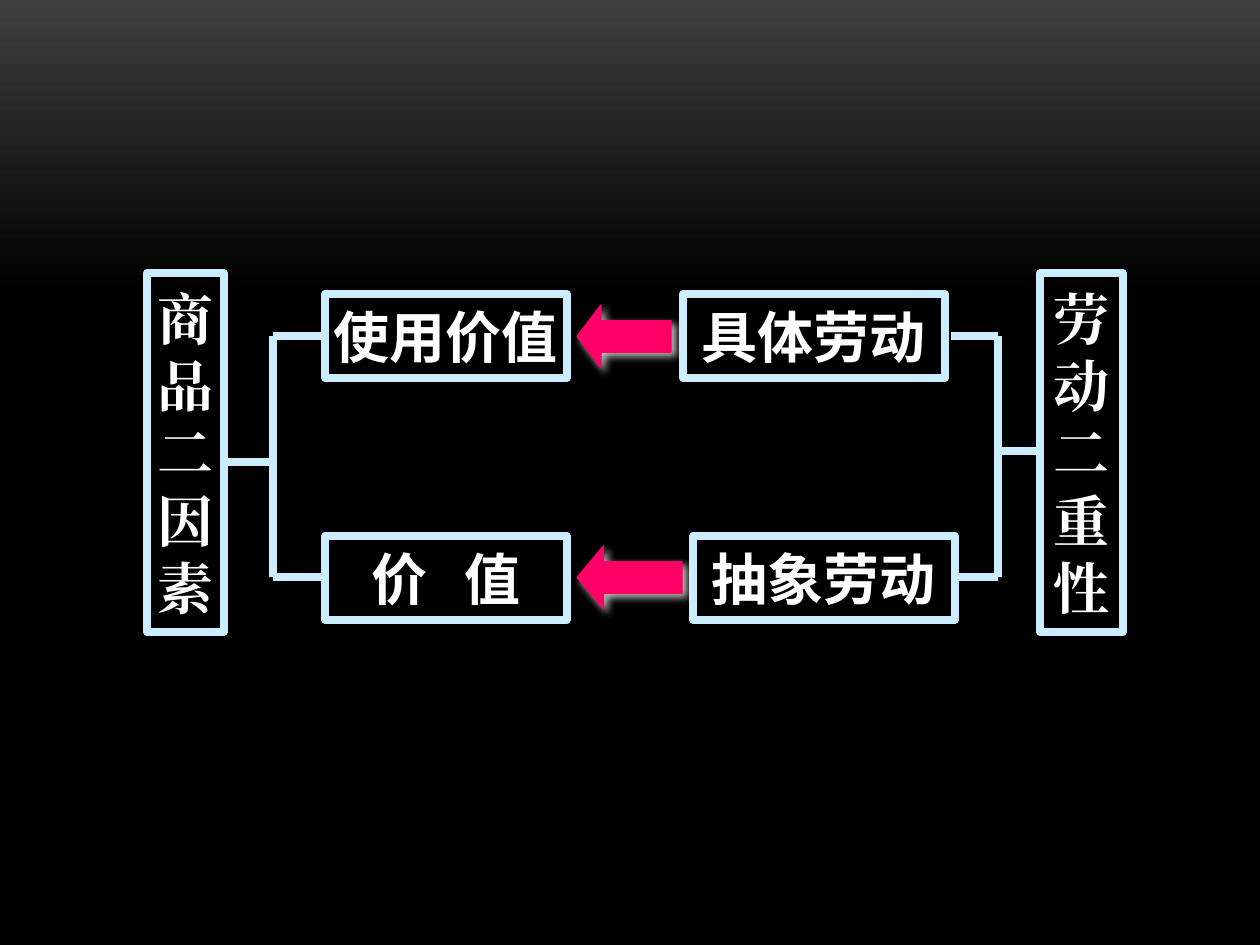
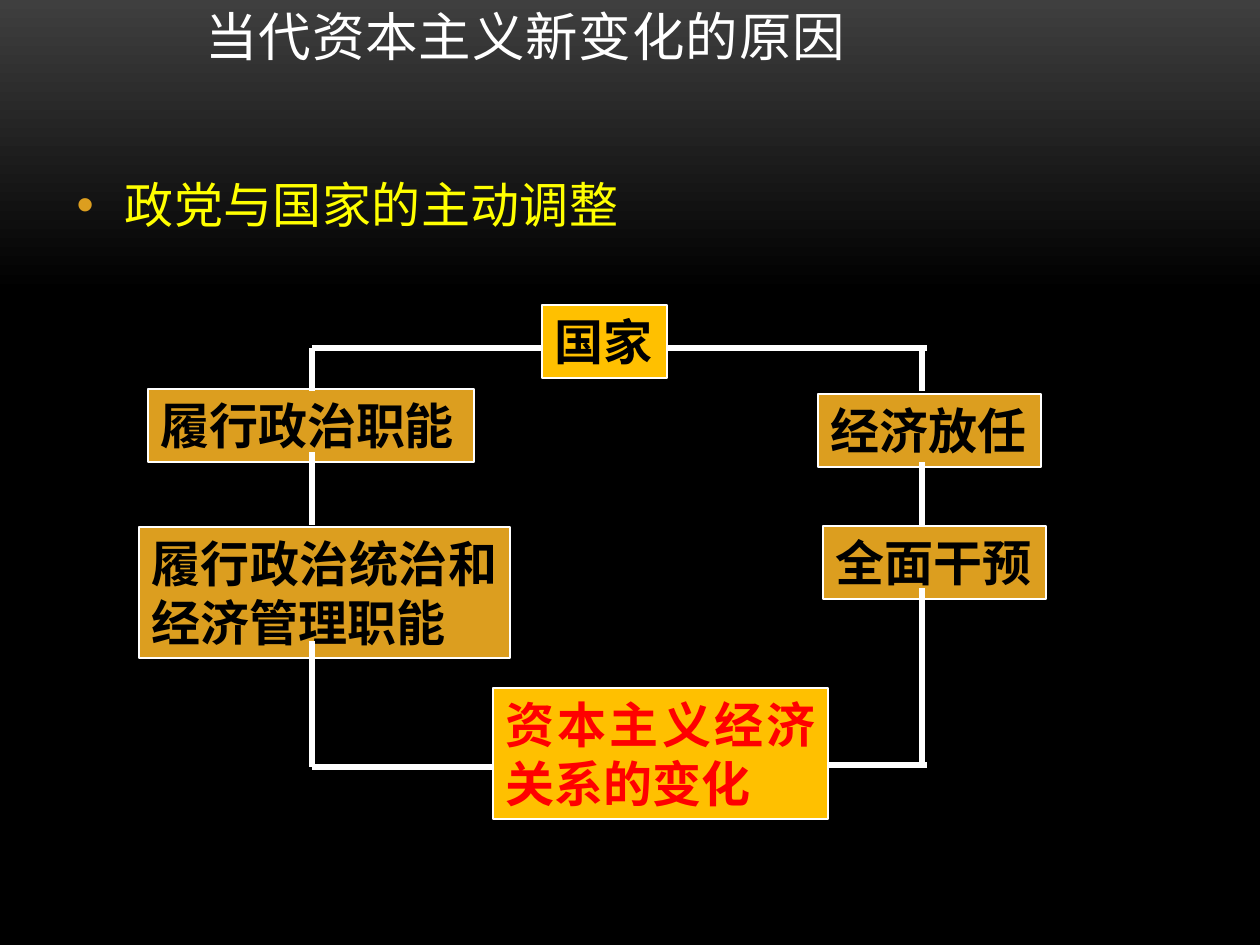
from lxml import etree
from pptx import Presentation
from pptx.dml.color import RGBColor
from pptx.enum.shapes import MSO_CONNECTOR, MSO_SHAPE
from pptx.enum.text import MSO_ANCHOR, MSO_AUTO_SIZE, PP_ALIGN
from pptx.oxml.ns import qn
from pptx.util import Emu, Pt

RECT, ARROW = MSO_SHAPE.RECTANGLE, MSO_SHAPE.LEFT_ARROW
STRAIGHT = MSO_CONNECTOR.STRAIGHT
TOP, MIDDLE, BOTTOM = MSO_ANCHOR.TOP, MSO_ANCHOR.MIDDLE, MSO_ANCHOR.BOTTOM
LEFT, CENTER, JUSTIFY = PP_ALIGN.LEFT, PP_ALIGN.CENTER, PP_ALIGN.JUSTIFY
FIXED = MSO_AUTO_SIZE.NONE

BLACK = RGBColor(0x00, 0x00, 0x00)
WHITE = RGBColor(0xFF, 0xFF, 0xFF)
GRAY = RGBColor(0x3F, 0x3F, 0x3F)
ICE = RGBColor(0xCC, 0xEC, 0xFF)
PINK = RGBColor(0xFF, 0x00, 0x66)
OCHRE = RGBColor(0xDC, 0x9E, 0x1F)
GOLD = RGBColor(0xFF, 0xC0, 0x00)
YELLOW = RGBColor(0xFF, 0xFF, 0x00)
RED = RGBColor(0xFF, 0x00, 0x00)

SANS, SERIF, ARIAL, HEAD = "Noto Sans CJK SC", "Times New Roman", "Arial", "Quicksand"
SCALE = 914400 / 126


def px(num):
    return Emu(round(num * SCALE))


def add(node, tag, **attrs):
    return etree.SubElement(node, qn(tag), attrs)


class Deck:
    def __init__(self):
        self.prs = Presentation()
        self.prs.slide_width, self.prs.slide_height = px(1260), px(945)
        # Shared backdrop: gray fading to black
        fill = self.prs.slide_master.background.fill
        fill.gradient()
        fill.gradient_angle = 270
        for stop, pos, color in zip(fill.gradient_stops, (0, 0.31), (GRAY, BLACK)):
            stop.position, stop.color.rgb = pos, color

    def page(self, layout):
        self.slide = self.prs.slides.add_slide(self.prs.slide_layouts[layout])
        for holder in list(self.slide.placeholders):
            if layout == 6:
                holder._element.getparent().remove(holder._element)

    def place(self, shape, left, top, width, height):
        shape.left, shape.top, shape.width, shape.height = map(px, (left, top, width, height))

    def style(self, para, font, size, color, bold=False, align=LEFT, gap=0):
        para.alignment = align
        para.space_before = Pt(0)
        for run in para.runs:
            props = run._r.get_or_add_rPr()
            if gap:
                props.set("spc", str(round(gap * 100)))
            add(props, "a:ea", typeface=font)
        face = para.font
        face.name, face.size, face.bold = font, Pt(size), bold
        face.color.rgb = color

    def title(self, text, spot):
        shape = self.slide.shapes.title
        self.place(shape, *spot)
        frame = shape.text_frame
        frame.text = text
        frame.auto_size, frame.vertical_anchor = FIXED, BOTTOM
        frame.margin_top, frame.margin_bottom = 0, px(64)
        self.style(frame.paragraphs[0], HEAD, 30, WHITE, gap=0.5)

    def body(self, text, spot):
        shape = self.slide.placeholders[1]
        self.place(shape, *spot)
        frame = shape.text_frame
        frame.text, frame.auto_size = text, FIXED
        para = frame.paragraphs[0]
        para.line_spacing, para.space_after = 0.9, Pt(6)
        props = para._p.get_or_add_pPr()
        props.set("marL", str(px(48)))
        props.set("indent", str(px(-48)))
        para.space_before = Pt(0)
        add(add(props, "a:buClr"), "a:srgbClr", val=str(OCHRE))
        add(props, "a:buFont", typeface=ARIAL)
        add(props, "a:buChar", char="•")
        self.style(para, SANS, 28, YELLOW, gap=0.3)

    def line(self, x1, y1, x2, y2, color, width):
        line = self.slide.shapes.add_connector(STRAIGHT, *map(px, (x1, y1, x2, y2)))
        line.line.color.rgb, line.line.width = color, Pt(width)
        add(line._element.spPr, "a:effectLst")

    def shape(self, kind, spot, fill, color, width):
        shape = self.slide.shapes.add_shape(kind, *map(px, spot))
        shape.shadow.inherit = False
        if fill is None:
            shape.fill.background()
        else:
            shape.fill.solid()
            shape.fill.fore_color.rgb = fill
        shape.line.color.rgb, shape.line.width = color, Pt(width)
        return shape

    def label(self, shape, text, anchor, wrap, **look):
        frame = shape.text_frame
        frame.text = text
        frame.word_wrap, frame.vertical_anchor = wrap, anchor
        for para in frame.paragraphs:
            self.style(para, bold=True, **look)

    def frame(self, text, spot, font=SANS, gap=0):
        shape = self.shape(RECT, spot, None, ICE, 4.5)
        self.label(shape, text, MIDDLE, False, font=font, size=32,
                   color=WHITE, align=CENTER, gap=gap)

    def card(self, text, spot, fill=OCHRE, color=BLACK, wrap=False):
        shape = self.shape(RECT, spot, fill, WHITE, 0.75)
        self.label(shape, text, TOP, wrap, font=ARIAL, size=28,
                   color=color, align=JUSTIFY)

    def arrow(self, spot, head):
        shape = self.shape(ARROW, spot, PINK, PINK, 0.75)
        shape.adjustments[0], shape.adjustments[1] = 0.5, head
        glow = add(shape._element.spPr.find(qn("a:effectLst")), "a:outerShdw",
                   blurRad=str(Pt(5)), dist=str(Pt(3)), dir="2700000")
        add(add(glow, "a:srgbClr", val=str(WHITE)), "a:alpha", val="75000")


def factors(deck):
    deck.page(6)
    # Brackets
    high, low = 336, 577
    for ends in ((273, low, 329, low), (273, high, 273, low), (220, 462, 276, 462),
                 (273, high, 325, high), (955, low, 998, low), (998, high, 998, low),
                 (998, 451, 1040, 451), (951, high, 998, high)):
        deck.line(*ends, ICE, 4.5)
    # Upright labels
    for text, left, width in (("商品二因素", 147, 77), ("劳动二重性", 1040, 83)):
        deck.frame("\n".join(text), (left, 273, width, 359), SERIF)
    # Paired terms
    for text, left, top, width, gap in (
            ("使用价值", 325, 294, 242, 0), ("价 值", 325, 536, 242, 7),
            ("抽象劳动", 693, 536, 262, 0), ("具体劳动", 683, 294, 262, 0)):
        deck.frame(text, (left, top, width, 84), gap=gap)
    deck.arrow((577, 305, 94, 63), 0.38)
    deck.arrow((577, 546, 105, 63), 0.42)


def causes(deck):
    deck.page(1)
    deck.title("当代资本主义新变化的原因", (193, 49, 1012, 82))
    deck.body("政党与国家的主动调整", (64, 175, 1111, 665))
    # Rails behind the cards
    west, east = 312, 922
    for left, right, y in ((west, 512, 767), (west, 927, 348), (719, 927, 765)):
        deck.line(left, y, right, y, WHITE, 3)
    # Cards
    deck.card("国家", (542, 305, 125, 73), GOLD)
    deck.card("履行政治职能", (148, 389, 326, 73), wrap=True)
    deck.card("履行政治统治和经济管理职能", (139, 527, 371, 131), wrap=True)
    deck.card("经济放任", (818, 394, 223, 73))
    deck.card("全面干预", (823, 526, 223, 73))
    deck.card("资本主义经济关系的变化", (493, 688, 335, 131), GOLD, RED, True)
    # Stems over the cards
    for x, start, end in ((west, 348, 391), (east, 348, 391), (west, 641, 767),
                          (east, 588, 765), (west, 452, 525), (east, 462, 525)):
        deck.line(x, start, x, end, WHITE, 3)


def main():
    deck = Deck()
    factors(deck)
    causes(deck)
    deck.prs.save("out.pptx")


if __name__ == "__main__":
    main()
